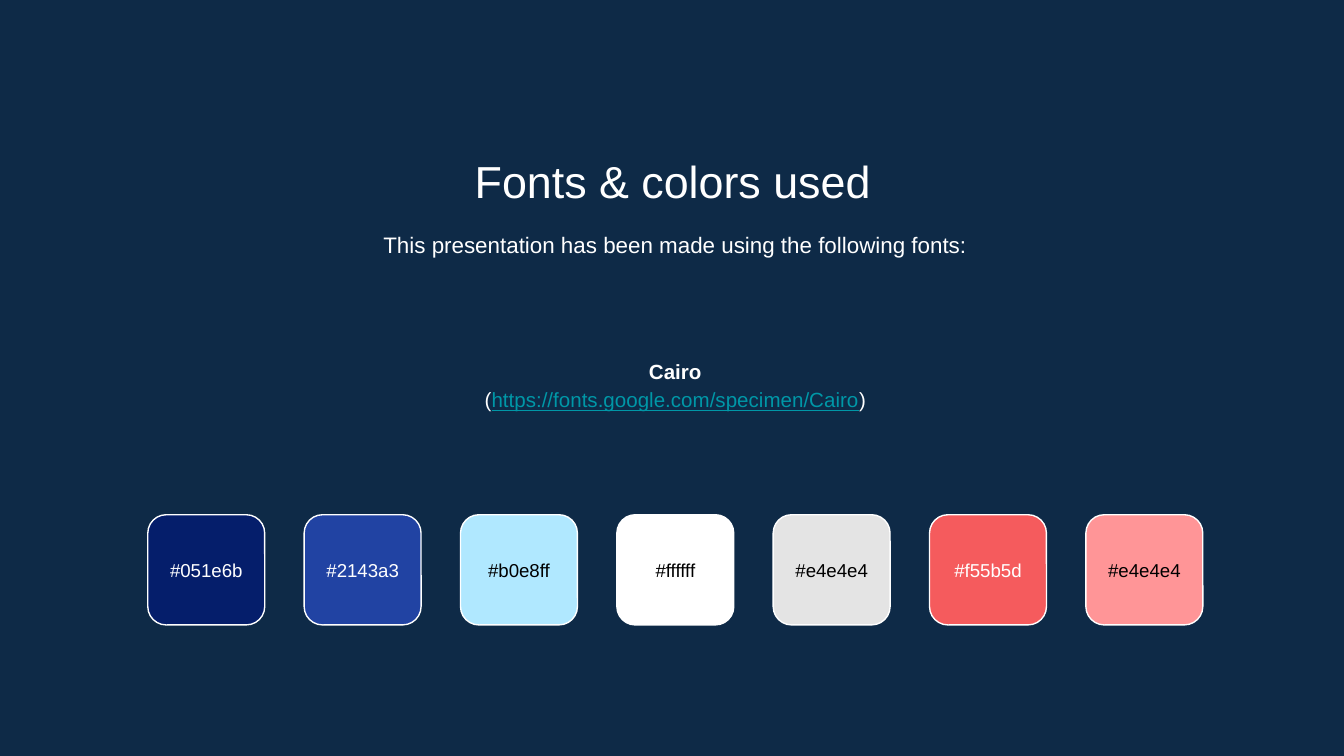
from pptx import Presentation
from pptx.dml.color import RGBColor
from pptx.enum.shapes import MSO_SHAPE
from pptx.enum.text import MSO_ANCHOR, MSO_AUTO_SIZE, PP_ALIGN
from pptx.oxml.ns import qn
from pptx.util import Inches, Pt

NAVY = RGBColor(0x0E, 0x2A, 0x47)
WHITE = RGBColor(0xFF, 0xFF, 0xFF)
BLACK = RGBColor(0x00, 0x00, 0x00)
TEAL = RGBColor(0x00, 0x97, 0xA7)
DEEP_BLUE = RGBColor(0x05, 0x1E, 0x6B)
BLUE = RGBColor(0x21, 0x43, 0xA3)
SKY = RGBColor(0xB0, 0xE8, 0xFF)
GREY = RGBColor(0xE4, 0xE4, 0xE4)
RED = RGBColor(0xF5, 0x5B, 0x5D)
PINK = RGBColor(0xFF, 0x95, 0x97)

SWATCHES = [
    ("#051e6b", DEEP_BLUE, WHITE),
    ("#2143a3", BLUE, WHITE),
    ("#b0e8ff", SKY, BLACK),
    ("#ffffff", WHITE, BLACK),
    ("#e4e4e4", GREY, BLACK),
    ("#f55b5d", RED, WHITE),
    ("#e4e4e4", PINK, BLACK),
]


def add_run(p, text, size, **formats):
    r = p.add_run()
    r.text = text
    r.font.color.rgb = formats.pop("color", WHITE)
    values = {"name": "Arial", "size": Pt(size), "bold": False, **formats}
    for key, value in values.items():
        setattr(r.font, key, value)


def format_frame(tf, **formats):
    values = {
        "word_wrap": True,
        "auto_size": MSO_AUTO_SIZE.NONE,
        "vertical_anchor": MSO_ANCHOR.TOP,
        **{f"margin_{side}": Inches(0.1) for side in ("left", "top", "right", "bottom")},
        **formats,
    }
    for key, value in values.items():
        setattr(tf, key, value)


def place(sp, left, top, width, height):
    box = {"left": left, "top": top, "width": width, "height": height}
    for key, value in box.items():
        setattr(sp, key, Inches(value))


def format_body(p):
    pPr = p._p.get_or_add_pPr()
    pPr.set("marL", "0")
    pPr.set("indent", "0")
    pPr.append(pPr.makeelement(qn("a:buNone"), {}))
    values = {"alignment": PP_ALIGN.CENTER, "line_spacing": 1.15, "space_before": Pt(0)}
    for key, value in values.items():
        setattr(p, key, value)


def fill_title(sp, left, top, width, height):
    place(sp, left, top, width, height)
    format_frame(sp.text_frame)
    p = sp.text_frame.paragraphs[0]
    p.alignment = PP_ALIGN.CENTER
    add_run(p, "Fonts & colors used", 24)


def fill_intro(sp, left, top, width, height):
    place(sp, left, top, width, height)
    format_frame(sp.text_frame)
    p = sp.text_frame.paragraphs[0]
    format_body(p)
    add_run(p, "This presentation has been made using the following fonts:", 12)


def fill_font_credit(sp, left, top, width, height):
    place(sp, left, top, width, height)
    tf = sp.text_frame
    format_frame(tf, vertical_anchor=MSO_ANCHOR.MIDDLE, margin_top=Inches(0.24))
    name, source = tf.paragraphs[0], tf.add_paragraph()
    for p in (name, source):
        format_body(p)
    add_run(name, "Cairo", 11, bold=True)
    add_run(source, "(", 11)
    add_run(source, "https://fonts.google.com/specimen/Cairo", 11, color=TEAL, underline=True)
    add_run(source, ")", 11)


def add_swatch(s, left, top, width, height, label, fill, color):
    sp = s.shapes.add_shape(MSO_SHAPE.ROUNDED_RECTANGLE, 0, 0, 0, 0)
    place(sp, left, top, width, height)
    sp.shadow.inherit = False
    sp.fill.solid()
    sp.fill.fore_color.rgb = fill
    sp.line.color.rgb = WHITE
    sp.line.width = Pt(0.75)

    caption = s.shapes.add_textbox(0, 0, 0, 0)
    place(caption, left, top + 0.17, width, 0.48)
    format_frame(caption.text_frame, vertical_anchor=MSO_ANCHOR.MIDDLE)
    p = caption.text_frame.paragraphs[0]
    p.alignment = PP_ALIGN.CENTER
    add_run(p, label, 10, color=color)


def add_swatches(s, left, top, width, height):
    swatch_width = 0.87
    pitch = (width - swatch_width) / (len(SWATCHES) - 1)
    for i, swatch in enumerate(SWATCHES):
        add_swatch(s, left + i * pitch, top, swatch_width, height, *swatch)


def main():
    prs = Presentation()
    prs.slide_width = Inches(10)
    prs.slide_height = prs.slide_width * 9 // 16
    s = prs.slides.add_slide(prs.slide_layouts[3])
    s.background.fill.solid()
    s.background.fill.fore_color.rgb = NAVY
    fill_title(s.shapes.title, 1.15, 1.04, 7.71, 0.53)
    fill_intro(s.placeholders[1], 1.17, 1.59, 7.71, 0.48)
    fill_font_credit(s.placeholders[2], 1.17, 2.1, 7.71, 1.37)
    add_swatches(s, 1.1, 3.83, 7.85, 0.82)
    prs.save("out.pptx")


if __name__ == "__main__":
    main()
